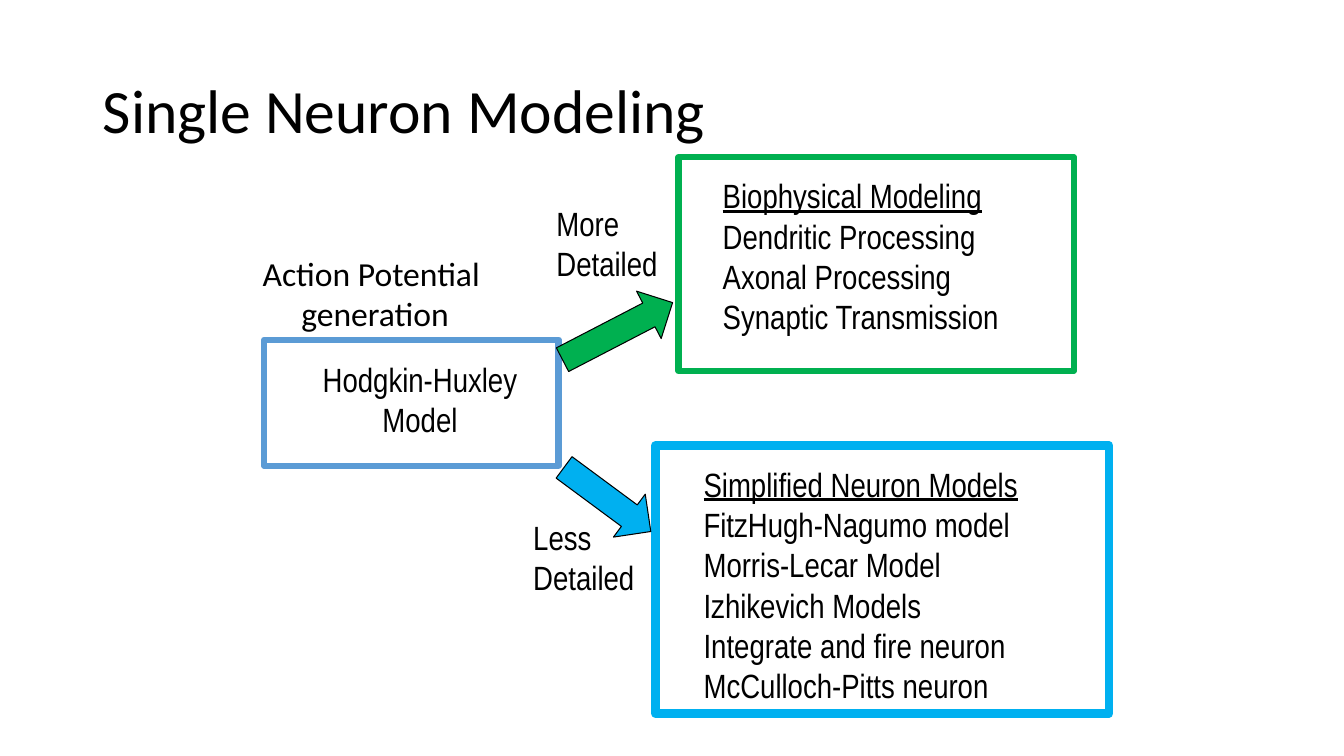
from pptx import Presentation
from pptx.dml.color import RGBColor
from pptx.enum.shapes import MSO_SHAPE
from pptx.enum.text import MSO_ANCHOR, MSO_AUTO_SIZE, PP_ALIGN
from pptx.util import Inches, Pt

RECTANGLE, DOWN_ARROW = MSO_SHAPE.RECTANGLE, MSO_SHAPE.DOWN_ARROW
LEFT, CENTER = PP_ALIGN.LEFT, PP_ALIGN.CENTER
MIDDLE = MSO_ANCHOR.MIDDLE
GROW = MSO_AUTO_SIZE.SHAPE_TO_FIT_TEXT
TITLE_ONLY_LAYOUT = 5
BODY_FONT, TITLE_FONT = "Arial Narrow", "Calibri"
BLACK, BLUE, GREEN, SKY = "000000", "5B9BD5", "00B050", "00B0F0"


def color(hex_string):
    """Return the colour for a hex string."""
    return RGBColor.from_string(hex_string)


def style_paragraph(paragraph, size, font_name, alignment):
    """Set the font and alignment of a paragraph."""
    paragraph.alignment = alignment
    paragraph.font.size = Pt(size)
    paragraph.font.name = font_name
    paragraph.font.color.rgb = color(BLACK)


def add_title(slide, box, text):
    """Place the slide title in its box."""
    title = slide.shapes.title
    title.left, title.top, title.width, title.height = map(Inches, box)
    title.text_frame.text = text
    title.text_frame.vertical_anchor = MIDDLE
    paragraph = title.text_frame.paragraphs[0]
    paragraph.line_spacing = 0.9
    style_paragraph(paragraph, 44, TITLE_FONT, LEFT)


def add_text(slide, box, lines, font_name=BODY_FONT, alignment=LEFT, wrap=False):
    """Add a text box with one paragraph per line."""
    frame = slide.shapes.add_textbox(*map(Inches, box)).text_frame
    frame.text = "\n".join(lines)
    frame.word_wrap = wrap
    frame.auto_size = GROW
    for paragraph in frame.paragraphs:
        style_paragraph(paragraph, 24, font_name, alignment)
    return frame


def add_frame(slide, box, line_color, line_width):
    """Add an unfilled rectangle with a coloured outline."""
    shape = slide.shapes.add_shape(RECTANGLE, *map(Inches, box))
    shape.shadow.inherit = False
    shape.fill.background()
    shape.line.color.rgb = color(line_color)
    shape.line.width = Pt(line_width)


def add_model_list(slide, box, text_offset, text_size, lines, line_color, line_width):
    """Add a framed list whose first line is an underlined heading."""
    left, top, _, _ = box
    text_left, text_top = left + text_offset[0], top + text_offset[1]
    frame = add_text(slide, (text_left, text_top, *text_size), lines, wrap=True)
    frame.paragraphs[0].font.underline = True
    add_frame(slide, box, line_color, line_width)


def add_hodgkin_huxley(slide, box):
    """Add the central model with its caption above."""
    left, top, _, _ = box
    add_text(slide, (left + 0.21, top + 0.14, 2.67, 0.91),
             ["Hodgkin-Huxley Model"], alignment=CENTER, wrap=True)
    add_frame(slide, box, BLUE, 4.5)
    add_text(slide, (left - 0.13, top - 0.91, 2.46, 0.91),
             ["Action Potential ", "generation"], TITLE_FONT, CENTER)


def add_branch(slide, box, rotation, fill_color, label_position, label):
    """Add a rotated block arrow and its label."""
    arrow = slide.shapes.add_shape(DOWN_ARROW, *map(Inches, box))
    arrow.rotation = rotation
    arrow.shadow.inherit = False
    arrow.fill.solid()
    arrow.fill.fore_color.rgb = color(fill_color)
    arrow.line.color.rgb = color(BLACK)
    arrow.line.width = Pt(0.75)
    add_text(slide, (*label_position, 1.22, 0.91), label)


def build_slide(presentation):
    """Build the neuron modeling slide."""
    slide = presentation.slides.add_slide(presentation.slide_layouts[TITLE_ONLY_LAYOUT])
    add_title(slide, (0.92, 0.4, 11.5, 1.45), "Single Neuron Modeling")
    add_hodgkin_huxley(slide, (2.62, 3.37, 2.92, 1.25))
    add_model_list(slide, (6.73, 1.56, 3.92, 2.12), (0.34, 0.13), (3.6, 2.12),
                   ["Biophysical Modeling", "Dendritic Processing",
                    "Axonal Processing", "Synaptic Transmission"], GREEN, 4.5)
    add_model_list(slide, (6.5, 4.42, 4.5, 2.66), (0.38, 0.13), (5, 2.52),
                   ["Simplified Neuron Models", "FitzHugh-Nagumo model",
                    "Morris-Lecar Model", "Izhikevich Models",
                    "Integrate and fire neuron", "McCulloch-Pitts neuron"], SKY, 6)
    add_branch(slide, (5.86, 2.67, 0.53, 1.23), 242.6, GREEN,
               (5.42, 1.96), ["More", "Detailed"])
    add_branch(slide, (5.76, 4.42, 0.53, 1.07), 306.5, SKY,
               (5.19, 5.08), ["Less", "Detailed"])


def main():
    """Create and save the presentation."""
    presentation = Presentation()
    presentation.slide_width = Inches(13.33)
    presentation.slide_height = Inches(7.5)
    build_slide(presentation)
    presentation.save("out.pptx")


if __name__ == "__main__":
    main()
